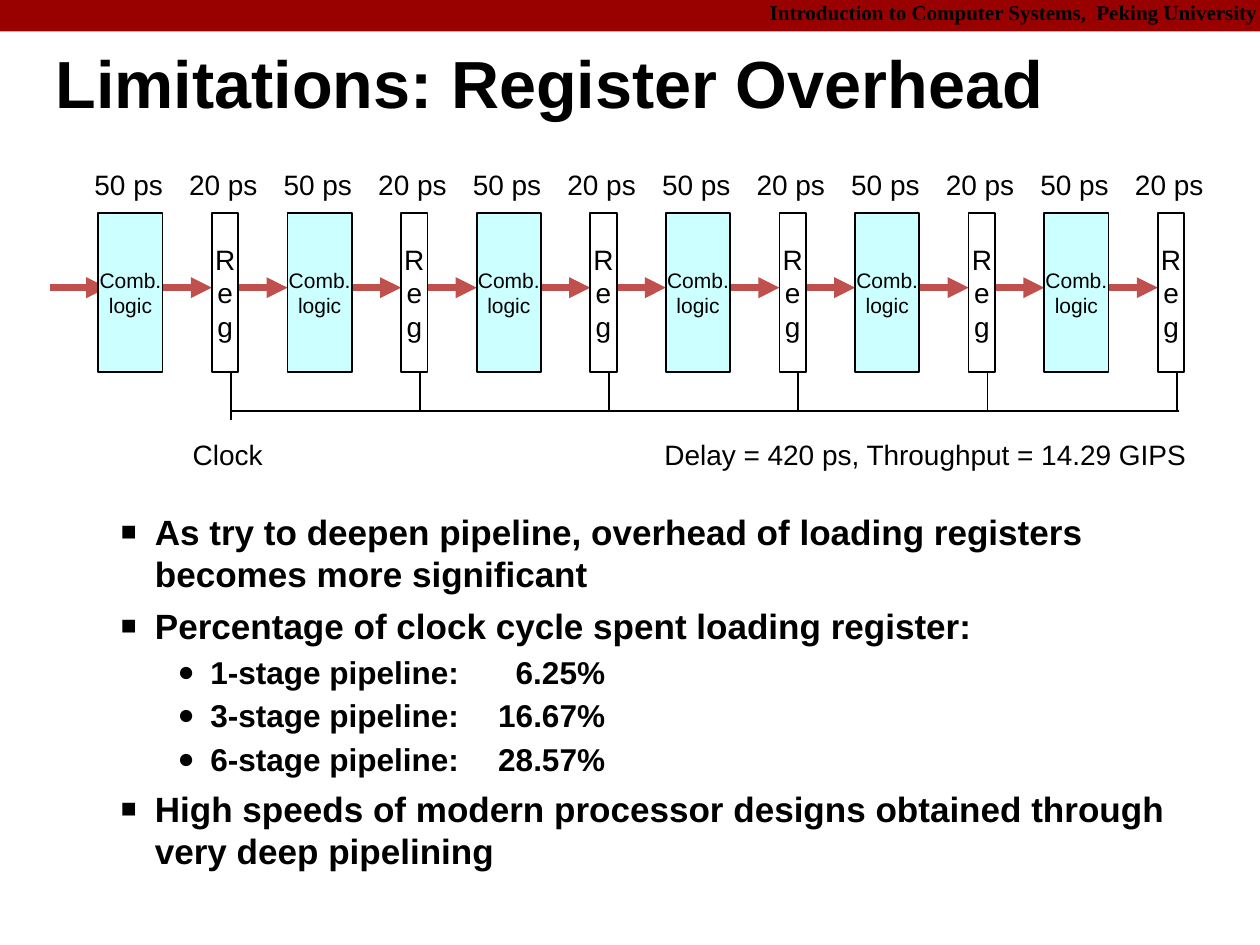
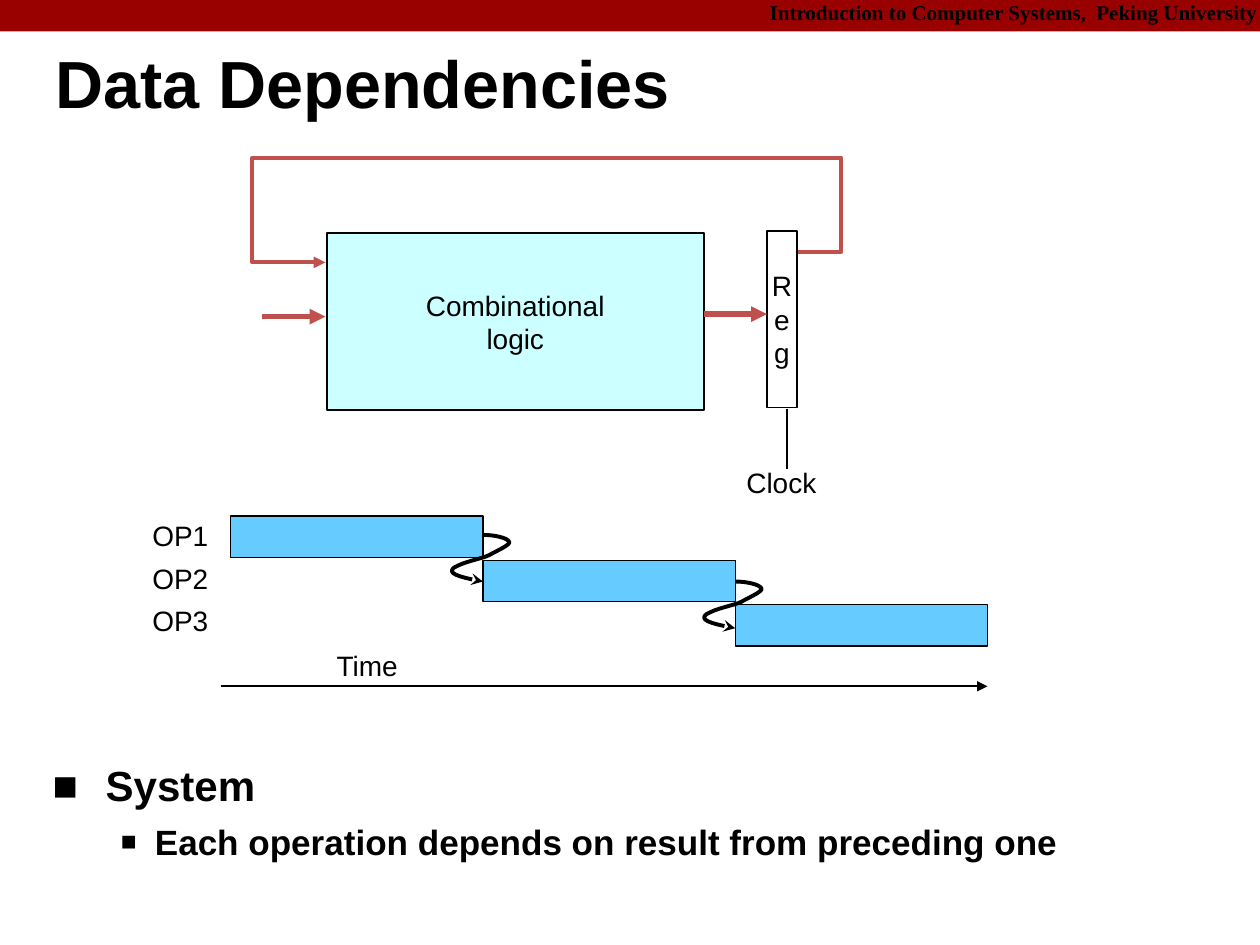
from lxml import etree
from pptx import Presentation
from pptx import util as u
from pptx.dml.color import RGBColor
from pptx.enum import shapes, text
from pptx.oxml.ns import qn

SCALE = 9144
WIDTH, HEIGHT = 999, 749

BLACK = RGBColor(0x00, 0x00, 0x00)
WHITE = RGBColor(0xFF, 0xFF, 0xFF)
BAND = RGBColor(0x99, 0x00, 0x00)
ARROW = RGBColor(0xC0, 0x50, 0x4D)
LOGIC = RGBColor(0xCC, 0xFF, 0xFF)
OPERATION = RGBColor(0x66, 0xCC, 0xFF)

LEFT, CENTER, RIGHT = text.PP_ALIGN.LEFT, text.PP_ALIGN.CENTER, text.PP_ALIGN.RIGHT
TOP, MIDDLE = text.MSO_ANCHOR.TOP, text.MSO_ANCHOR.MIDDLE

LEVELS = {
    "main": dict(size=24, margin=42, hang=42, spacing=0.95, before=12, bullet="■", percent=100),
    "point": dict(size=20, margin=81, hang=27, spacing=1.0, before=5.5, bullet="■", percent=75),
    "detail": dict(size=18, margin=125, hang=26, spacing=1.07, before=1.8, bullet="●", percent=90),
}
DECIMAL_TAB = 381

HOOK = [
    ((0, 0), (8, 0), (20, 2), (21, 6)),
    ((21, 6), (20, 9), (8, 14), (5, 16)),
    ((5, 16), (-1, 19), (-15, 21), (-23, 26)),
    ((-23, 26), (-28, 30), (-22, 33), (0, 37)),
]
HOOK_STEPS = 8


def px(value):
    return u.Emu(round(value * SCALE))


def write(shape, content, size=16, font="Arial", bold=False, align=LEFT, anchor=TOP,
          wrap=False, grow=False, spacing=None, insets=(10, 5)):
    frame = shape.text_frame
    frame.word_wrap = wrap
    frame.auto_size = text.MSO_AUTO_SIZE.SHAPE_TO_FIT_TEXT if grow else text.MSO_AUTO_SIZE.NONE
    frame.vertical_anchor = anchor
    frame.margin_left = frame.margin_right = px(insets[0])
    frame.margin_top = frame.margin_bottom = px(insets[1])
    for index, line in enumerate(content.split("\n")):
        para = frame.add_paragraph() if index else frame.paragraphs[0]
        para.alignment = align
        if spacing:
            para.line_spacing = spacing
        add_span(para, line, size, font, bold)


def add_span(para, content, size, font="Arial", bold=False):
    span = para.add_run()
    span.text = content
    span.font.name = font
    span.font.size = u.Pt(size)
    span.font.bold = bold
    span.font.color.rgb = BLACK


def add_label(page, left, top, width, height, content, **style):
    box = page.shapes.add_textbox(px(left), px(top), px(width), px(height))
    write(box, content, **style)


def add_caption(page, left, top, width, content):
    add_label(page, left, top, width, 36, content, align=CENTER, insets=(0, 5))


def add_rect(page, left, top, width, height, fill, outline=None, content=None, **style):
    rect = page.shapes.add_shape(
        shapes.MSO_SHAPE.RECTANGLE, px(left), px(top), px(width), px(height))
    rect.shadow.inherit = False
    rect.fill.solid()
    rect.fill.fore_color.rgb = fill
    if outline:
        rect.line.color.rgb = BLACK
        rect.line.width = u.Pt(outline)
    else:
        rect.line.fill.background()
    if content:
        write(rect, content, **{"align": CENTER, "anchor": MIDDLE, **style})


def style_line(shape, color, weight, head=None):
    shape.line.color.rgb = color
    shape.line.width = u.Pt(weight)
    if head:
        outline = shape.element.spPr.find(qn("a:ln"))
        etree.SubElement(outline, qn("a:tailEnd"), type=head)


def add_line(page, x1, y1, x2, y2, color=BLACK, weight=1, head=None):
    line = page.shapes.add_connector(
        shapes.MSO_CONNECTOR.STRAIGHT, px(x1), px(y1), px(x2), px(y2))
    style_line(line, color, weight, head)
    etree.SubElement(line.element.spPr, qn("a:effectLst"))


def add_path(page, points, color, head):
    corners = [(px(x), px(y)) for x, y in points]
    builder = page.shapes.build_freeform(*corners[0])
    builder.add_line_segments(corners[1:], close=False)
    outline = builder.convert_to_shape()
    outline.shadow.inherit = False
    outline.fill.background()
    style_line(outline, color, 2.25, head)


def add_bullets(page, left, top, width, height, items):
    box = page.shapes.add_textbox(px(left), px(top), px(width), px(height))
    frame = box.text_frame
    frame.word_wrap = True
    for index, (level, content) in enumerate(items):
        look = LEVELS[level]
        para = frame.add_paragraph() if index else frame.paragraphs[0]
        para.line_spacing = look["spacing"]
        para.space_before = u.Pt(look["before"])
        add_span(para, content, look["size"], bold=True)
        props = para._p.get_or_add_pPr()
        props.set("marL", str(px(look["margin"])))
        props.set("indent", str(-px(look["hang"])))
        etree.SubElement(props, qn("a:buSzPct"), val=str(look["percent"] * 1000))
        etree.SubElement(props, qn("a:buFont"), typeface="Arial")
        etree.SubElement(props, qn("a:buChar"), char=look["bullet"])
        if "\t" in content:
            tabs = etree.SubElement(props, qn("a:tabLst"))
            etree.SubElement(tabs, qn("a:tab"), pos=str(px(DECIMAL_TAB)), algn="dec")


def add_page(deck, title):
    page = deck.slides.add_slide(deck.slide_layouts[6])
    add_rect(page, 0, 0, WIDTH, 25, BAND)
    add_label(page, 600, -3, 407, 28, "Introduction to Computer Systems,  Peking University",
              size=12, font="Times New Roman", bold=True, align=RIGHT, wrap=True,
              grow=True, spacing=0.9)
    add_label(page, 44, 27, 952, 85, title, size=38, bold=True, anchor=MIDDLE,
              wrap=True, spacing=0.87, insets=(0, 0))
    return page


def add_stage(page, left, top, first, last):
    flow = top + 100
    starts = [45] if last else [45, 105]
    for start in starts:
        add_line(page, left + start, flow, left + start + 45, flow, ARROW, 4, "triangle")
    add_rect(page, left, top + 41, 51, 126, LOGIC, 1, "Comb.\nlogic", size=12)
    add_rect(page, left + 90, top + 41, 21, 126, WHITE, 1, "R\ne\ng")
    for offset, delay in ((-12, "50 ps"), (63, "20 ps")):
        add_caption(page, left + offset, top, 72, delay)
    add_line(page, left + 105, top + 167, left + 105, top + (205 if first else 198))


def add_pipeline(page, left, top, stages=6, pitch=150):
    add_line(page, left - 38, top + 100, left + 7, top + 100, ARROW, 4, "triangle")
    for index in range(stages):
        add_stage(page, left + index * pitch, top, index == 0, index == stages - 1)
    add_line(page, left + 105, top + 198, left + 857, top + 198)
    add_caption(page, left + 65, top + 214, 75, "Clock")
    add_label(page, left + 439, top + 214, 446, 36,
              "Delay = 420 ps, Throughput = 14.29 GIPS", grow=True)


def add_feedback_loop(page, left, top):
    add_line(page, left + 8, top + 126, left + 58, top + 126, ARROW, 3, "triangle")
    add_caption(page, left + 382, top + 239, 75, "Clock")
    add_rect(page, left + 59, top + 60, 299, 140, LOGIC, 1, "Combinational\nlogic")
    add_rect(page, left + 408, top + 58, 24, 140, WHITE, 1, "R\ne\ng")
    add_line(page, left + 358, top + 124, left + 408, top + 124, ARROW, 3, "triangle")
    add_line(page, left + 424, top + 199, left + 424, top + 247)
    corners = [(433, 75), (467, 75), (467, 0), (0, 0), (0, 83), (58, 83)]
    add_path(page, [(left + x, top + y) for x, y in corners], ARROW, "triangle")


def hook_points(left, top):
    points = [(left, top)]
    for a, b, c, d in HOOK:
        for step in range(1, HOOK_STEPS + 1):
            t = step / HOOK_STEPS
            weights = ((1 - t) ** 3, 3 * t * (1 - t) ** 2, 3 * t * t * (1 - t), t ** 3)
            x, y = (sum(w * p[axis] for w, p in zip(weights, (a, b, c, d)))
                    for axis in (0, 1))
            points.append((left + x, top + y))
    return points


def add_timeline(page, left, top, operations=("OP1", "OP2", "OP3")):
    add_line(page, left + 92, top + 136, left + 700, top + 136, head="triangle")
    add_label(page, left + 174, top + 101, 69, 36, "Time", grow=True)
    for index, name in enumerate(operations):
        add_rect(page, left, top + round(index * 33.5), 92, 33, WHITE, None, name, align=RIGHT)
    for index in range(len(operations)):
        start, level = left + 100 + index * 200, top + 1 + index * 35
        add_rect(page, start, level, 200, 33, OPERATION, 0.75)
    for index in range(len(operations) - 1):
        add_path(page, hook_points(left + 300 + index * 200, top + 16 + index * 37),
                 BLACK, "stealth")


def build_overhead(deck):
    page = add_page(deck, "Limitations: Register Overhead")
    add_bullets(page, 32, 400, 907, 303, [
        ("point", "As try to deepen pipeline, overhead of loading registers "
                  "becomes more significant"),
        ("point", "Percentage of clock cycle spent loading register:"),
        ("detail", "1-stage pipeline: \t6.25%"),
        ("detail", "3-stage pipeline: \t16.67%"),
        ("detail", "6-stage pipeline: \t28.57%"),
        ("point", "High speeds of modern processor designs obtained through "
                  "very deep pipelining"),
    ])
    add_pipeline(page, 78, 128)


def build_dependencies(deck):
    page = add_page(deck, "Data Dependencies")
    add_bullets(page, 32, 600, 907, 103, [
        ("main", "System"),
        ("point", "Each operation depends on result from preceding one"),
    ])
    add_feedback_loop(page, 200, 125)
    add_timeline(page, 83, 408)


def main():
    deck = Presentation()
    deck.slide_width, deck.slide_height = px(WIDTH), px(HEIGHT)
    build_overhead(deck)
    build_dependencies(deck)
    deck.save("out.pptx")


if __name__ == "__main__":
    main()
